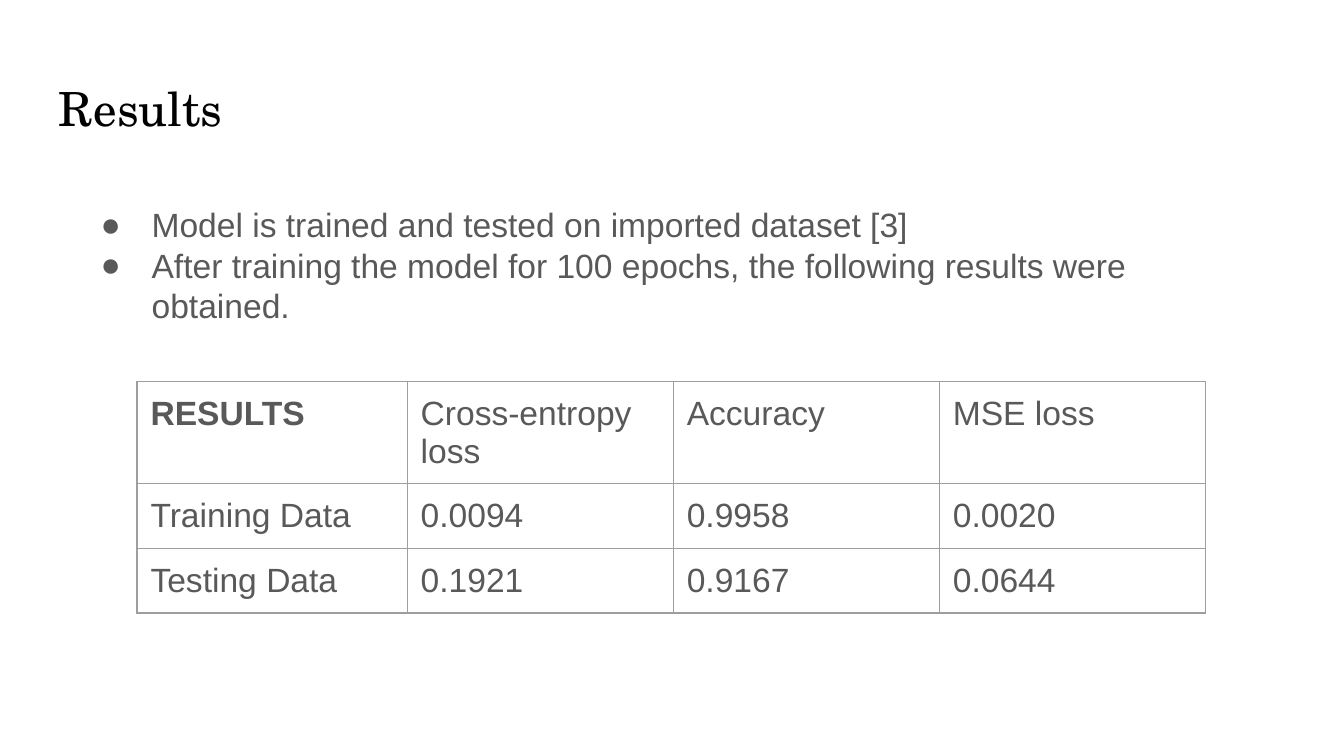
import pptx
import pptx.dml.color
import pptx.enum.text
import pptx.oxml.ns
import pptx.util
from lxml import etree

W = 10
H = W * 9 / 16
INSET = 0.1
COLORS = {"title": "000000", "body": "595959", "border": "9E9E9E", "back": "FFFFFF"}
BODY_FONT, TITLE_FONT = "Arial", "TeX Gyre Schola"
BULLETS = [
    "Model is trained and tested on imported dataset [3]",
    "After training the model for 100 epochs, the following results were obtained.",
]
RESULTS = [
    ["RESULTS", "Cross-entropy loss", "Accuracy", "MSE loss"],
    ["Training Data", "0.0094", "0.9958", "0.0020"],
    ["Testing Data", "0.1921", "0.9167", "0.0644"],
]
COL_WIDTHS = [2.01] + [1.98] * 3
ROW_HEIGHTS = [0.55] + [0.42] * 2
ROW_BOTTOMS = [0.06] + [0.08] * 2


def rgb(name):
    """Return the named colour."""
    return pptx.dml.color.RGBColor.from_string(COLORS[name])


def share(x, y, w, h):
    """Turn shares of the slide's size into lengths."""
    return [pptx.util.Inches(v) for v in (x * W, y * H, w * W, h * H)]


def add_xml(parent, tag, **attrs):
    """Append a DrawingML element to parent."""
    return etree.SubElement(parent, pptx.oxml.ns.qn(tag), attrs)


def style(p, size, font, color, bold=False):
    """Set the font of a paragraph."""
    p.font.size = pptx.util.Pt(size)
    p.font.name = font
    p.font.bold = bold
    p.font.color.rgb = rgb(color)


def set_insets(box, bottom=INSET):
    """Set the margins of a text frame or a cell."""
    for side in ("left", "right", "top"):
        setattr(box, "margin_" + side, pptx.util.Inches(INSET))
    box.margin_bottom = pptx.util.Inches(bottom)


def add_text(slide, box, lines, size, font, color):
    """Add a wrapped text box and return its text frame."""
    tf = slide.shapes.add_textbox(*box).text_frame
    tf.word_wrap = True
    tf.vertical_anchor = pptx.enum.text.MSO_ANCHOR.TOP
    set_insets(tf)
    for i, line in enumerate(lines):
        p = tf.add_paragraph() if i else tf.paragraphs[0]
        p.text = line
        style(p, size, font, color)
    return tf


def add_bullets(tf):
    """Put a hanging round bullet on every paragraph."""
    for p in tf.paragraphs:
        p.line_spacing = 1.0
        pPr = p._p.get_or_add_pPr()
        pPr.set("marL", str(pptx.util.Inches(0.5)))
        pPr.set("indent", str(pptx.util.Inches(-0.38)))
        bullet = [
            add_xml(pPr, "a:buClr"),
            add_xml(pPr, "a:buFont", typeface=BODY_FONT),
            add_xml(pPr, "a:buChar", char="●"),
        ]
        add_xml(bullet[0], "a:srgbClr", val=COLORS["body"])
        defaults = pPr.find(pptx.oxml.ns.qn("a:defRPr"))
        for el in bullet:
            defaults.addprevious(el)


def set_borders(cell):
    """Draw a thin line on all sides of a cell."""
    tcPr = cell._tc.get_or_add_tcPr()
    for i, side in enumerate("LRTB"):
        ln = add_xml(tcPr, "a:ln" + side, w=str(pptx.util.Pt(0.75)))
        add_xml(add_xml(ln, "a:solidFill"), "a:srgbClr", val=COLORS["border"])
        tcPr.insert(i, ln)


def add_results(slide, x, y):
    """Add the plain bordered results table."""
    box = share(x, y, sum(COL_WIDTHS) / W, sum(ROW_HEIGHTS) / H)
    table = slide.shapes.add_table(len(RESULTS), len(RESULTS[0]), *box).table
    table.first_row = table.horz_banding = False
    for col, width in zip(table.columns, COL_WIDTHS):
        col.width = pptx.util.Inches(width)
    for r, values in enumerate(RESULTS):
        table.rows[r].height = pptx.util.Inches(ROW_HEIGHTS[r])
        for c, value in enumerate(values):
            cell = table.cell(r, c)
            cell.text = value
            set_insets(cell, ROW_BOTTOMS[r])
            style(cell.text_frame.paragraphs[0], 18, BODY_FONT, "body", r == c == 0)
            cell.fill.solid()
            cell.fill.fore_color.rgb = rgb("back")
            set_borders(cell)


def main():
    """Build and save the slide."""
    prs = pptx.Presentation()
    prs.slide_width, prs.slide_height = pptx.util.Inches(W), pptx.util.Inches(H)
    slide = prs.slides.add_slide(prs.slide_layouts[6])
    slide.background.fill.solid()
    slide.background.fill.fore_color.rgb = rgb("back")
    add_text(slide, share(0.034, 0.49 / H, 0.932, 0.63 / H), ["Results"],
             25.2, TITLE_FONT, "title")
    add_results(slide, 0.102, 2.84 / H)
    tf = add_text(slide, share(0.053, 1.42 / H, 0.857, 1.11 / H), BULLETS,
                  18, BODY_FONT, "body")
    add_bullets(tf)
    prs.save("out.pptx")


main()
